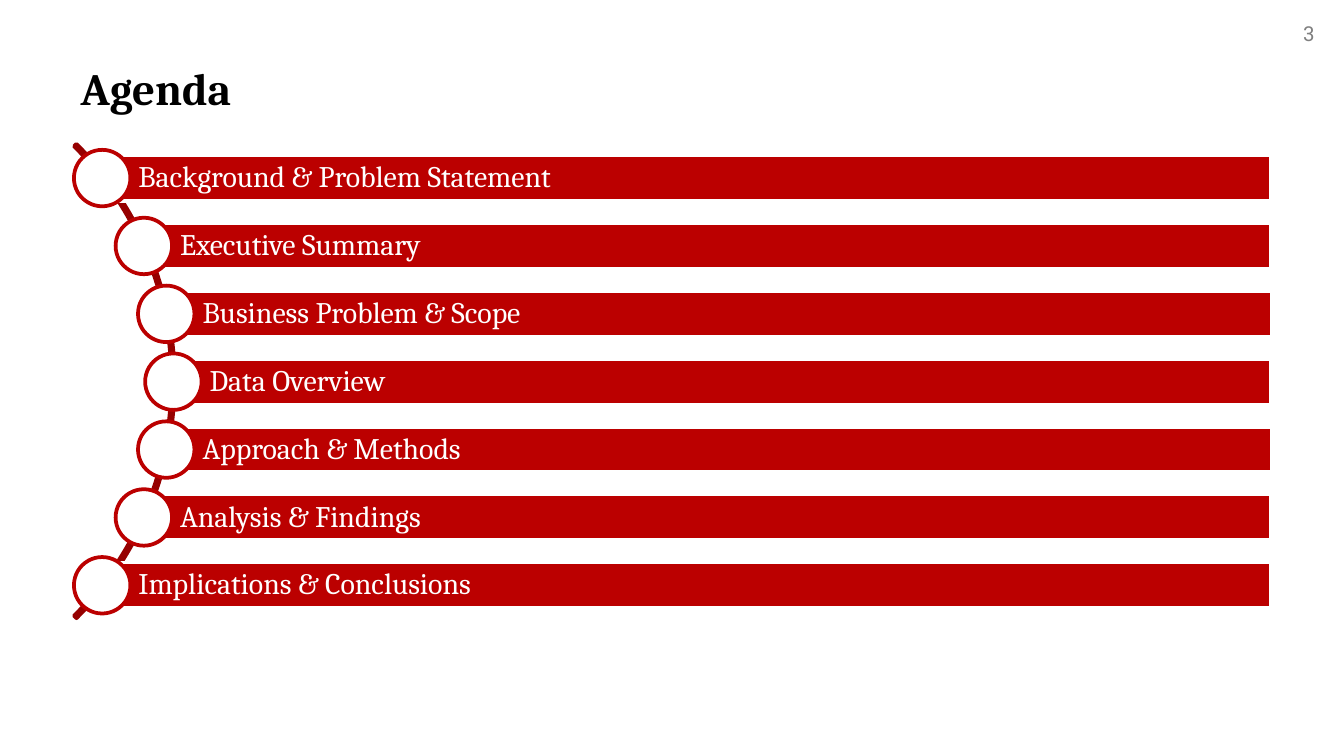
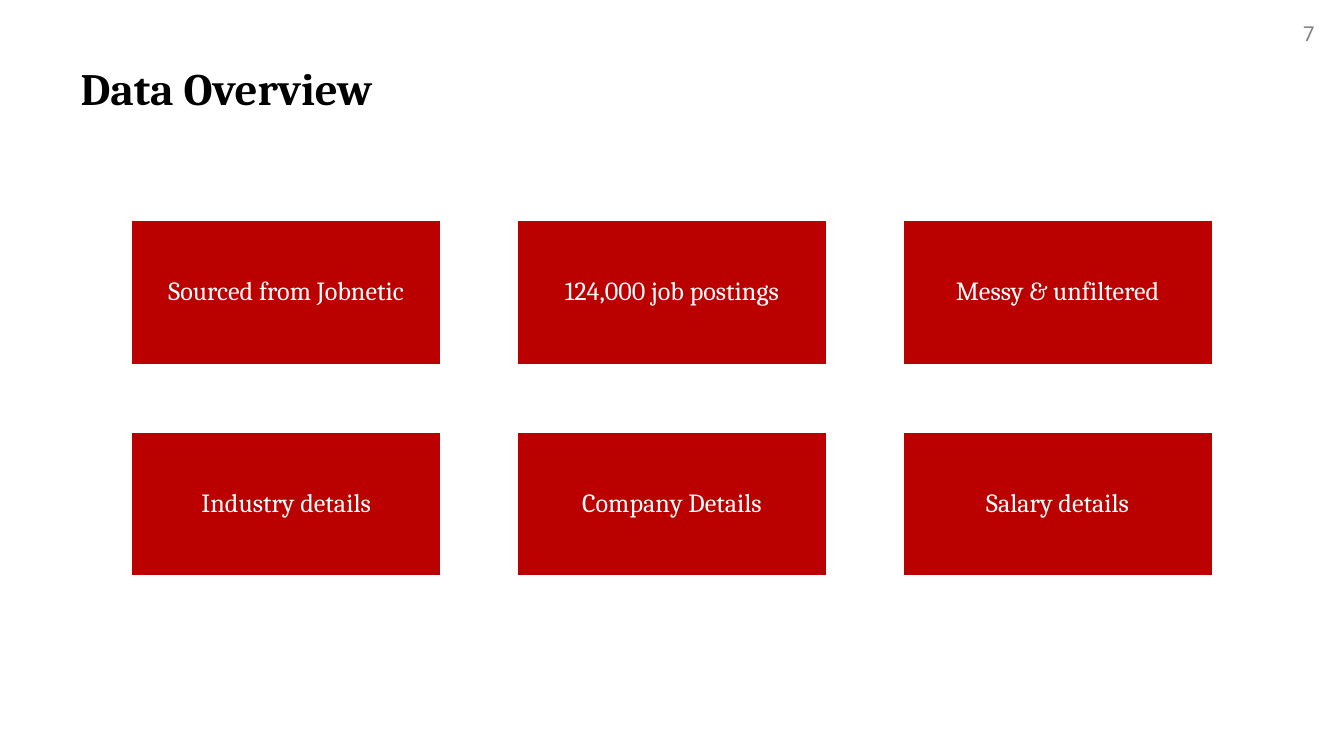
from math import sqrt

from pptx import Presentation
from pptx.dml.color import RGBColor
from pptx.enum.shapes import MSO_SHAPE
from pptx.enum.text import MSO_ANCHOR, MSO_AUTO_SIZE, PP_ALIGN
from pptx.util import Inches, Pt

RECTANGLE, OVAL, ARC = MSO_SHAPE.RECTANGLE, MSO_SHAPE.OVAL, MSO_SHAPE.BLOCK_ARC
LEFT, CENTER, RIGHT = PP_ALIGN.LEFT, PP_ALIGN.CENTER, PP_ALIGN.RIGHT
TOP, MIDDLE = MSO_ANCHOR.TOP, MSO_ANCHOR.MIDDLE
NO_FIT = MSO_AUTO_SIZE.NONE

RED, DARK_RED, WHITE, BLACK, GRAY = "BB0000", "960000", "FFFFFF", "000000", "808080"
SERIF, SANS = "Cambria", "Roboto"
CELL = Inches(0.1)
COLUMNS, ROWS = 100, 56.25
TITLE_ONLY = 5

AGENDA = [
    "Background & Problem Statement",
    "Executive Summary",
    "Business Problem & Scope",
    "Data Overview",
    "Approach & Methods",
    "Analysis & Findings",
    "Implications & Conclusions",
]
DATA_FACTS = [
    ["Sourced from Jobnetic", "124,000 job postings", "Messy & unfiltered"],
    ["Industry details", "Company Details", "Salary details"],
]


def color(hex_string):
    """Return the colour for a hex string."""
    return RGBColor.from_string(hex_string)


def cells(*counts):
    """Convert grid cells to slide lengths."""
    return [round(count * CELL) for count in counts]


class Deck:
    """Holds the shared style and the current slide."""

    def __init__(self):
        """Start an empty widescreen presentation."""
        self.presentation = Presentation()
        self.presentation.slide_width, self.presentation.slide_height = cells(COLUMNS, ROWS)
        self.slide = None

    def add_slide(self, title, number):
        """Add a slide with its title and page number."""
        layout = self.presentation.slide_layouts[TITLE_ONLY]
        self.slide = self.presentation.slides.add_slide(layout)
        heading = self.slide.shapes.title
        heading.left, heading.top, heading.width, heading.height = cells(5, 4, 90, 6.7)
        self.set_text(heading, title, 24, ink=BLACK, anchor=TOP, bold=True)
        page = self.slide.shapes.add_textbox(*cells(93.3, 1.1, 5.5, 2.9))
        self.set_text(page, str(number), 11, SANS, GRAY, RIGHT, TOP)

    def set_text(self, shape, text, size, font=SERIF, ink=WHITE, align=LEFT,
                 anchor=MIDDLE, bold=False, insets=(1, 0.5, 1, 0.5), spacing=1.0):
        """Put one styled paragraph in a shape."""
        frame = shape.text_frame
        frame.text = text
        frame.word_wrap = True
        frame.auto_size = NO_FIT
        frame.vertical_anchor = anchor
        (frame.margin_left, frame.margin_top,
         frame.margin_right, frame.margin_bottom) = cells(*insets)
        paragraph = frame.paragraphs[0]
        paragraph.alignment = align
        paragraph.line_spacing = spacing
        paragraph.font.name = font
        paragraph.font.size = Pt(size)
        paragraph.font.bold = bold
        paragraph.font.color.rgb = color(ink)

    def shape(self, kind, box, fill, line):
        """Draw a preset shape with a two-point outline."""
        shape = self.slide.shapes.add_shape(kind, *cells(*box))
        shape.shadow.inherit = False
        if fill:
            shape.fill.solid()
            shape.fill.fore_color.rgb = color(fill)
        else:
            shape.fill.background()
        shape.line.color.rgb = color(line)
        shape.line.width = Pt(2)
        return shape

    def block(self, box, text, size, align, insets):
        """Draw a red rectangle with white text."""
        rectangle = self.shape(RECTANGLE, box, RED, WHITE)
        self.set_text(rectangle, text, size, align=align, insets=insets, spacing=0.9)

    def curve(self, box):
        """Draw the thin arc that links the agenda markers."""
        arc = self.shape(ARC, box, None, DARK_RED)
        for index, value in enumerate((189, 27, 0.005)):
            arc.adjustments[index] = value


def build_agenda(deck):
    """Build the agenda with markers along a curve."""
    deck.add_slide("Agenda", 3)
    deck.curve((-36.9, 3.4, 49.9, 49.9))
    middle, pitch, radius, center = 28.4, 5.05, 24.3, -11.4
    bar_height, marker, right_edge = 3.4, 4.2, 94.6
    for index, topic in enumerate(AGENDA):
        offset = (index - len(AGENDA) // 2) * pitch
        left, row = center + sqrt(radius ** 2 - offset ** 2), middle + offset
        deck.block((left, row - bar_height / 2, right_edge - left, bar_height),
                   topic, 16, LEFT, (2.7, 0.4, 0.4, 0.4))
        deck.shape(OVAL, (left - marker / 2, row - marker / 2, marker, marker), WHITE, RED)


def build_data_overview(deck):
    """Build the grid of facts about the data."""
    deck.add_slide("Data Overview", 7)
    for row, facts in enumerate(DATA_FACTS):
        for column, fact in enumerate(facts):
            deck.block((9.7 + column * 28.7, 16.3 + row * 15.75, 23.2, 10.9),
                       fact, 14, CENTER, (0.6, 0.6, 0.6, 0.6))


def main():
    """Build and save the presentation."""
    deck = Deck()
    build_agenda(deck)
    build_data_overview(deck)
    deck.presentation.save("out.pptx")


if __name__ == "__main__":
    main()
